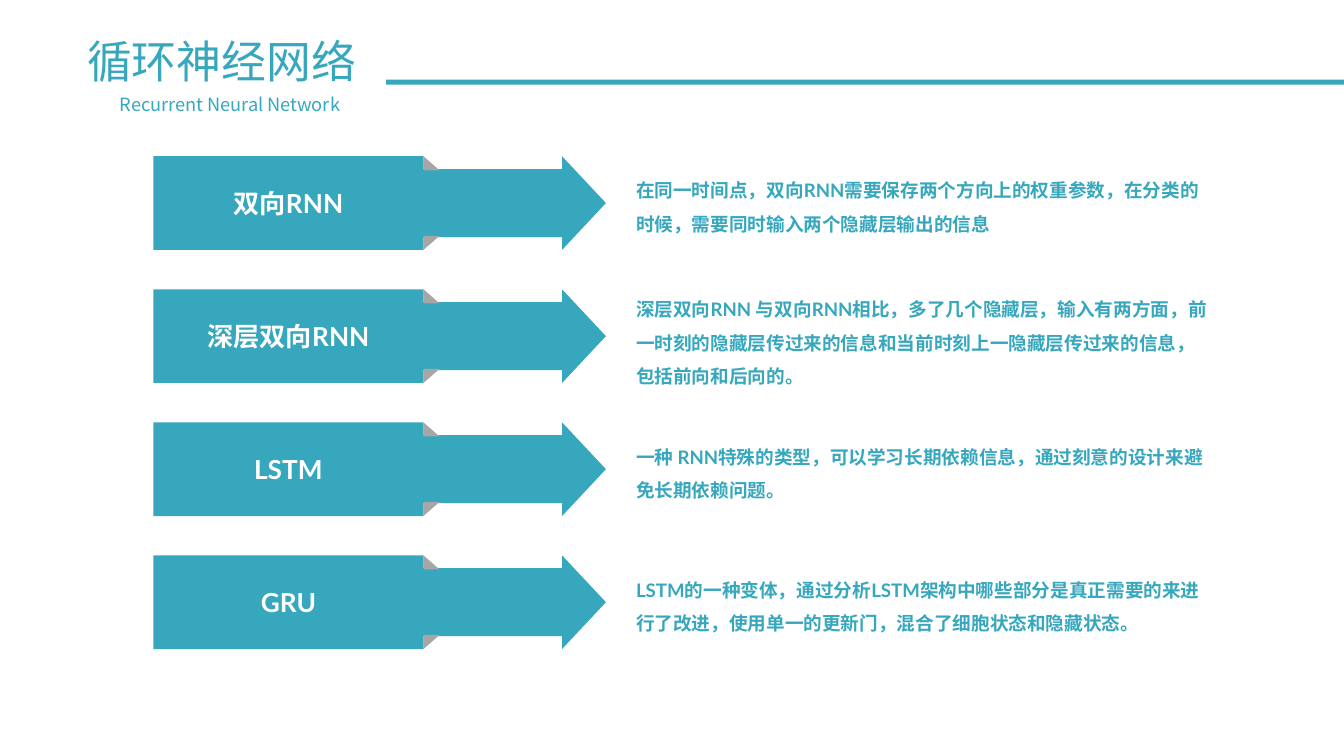
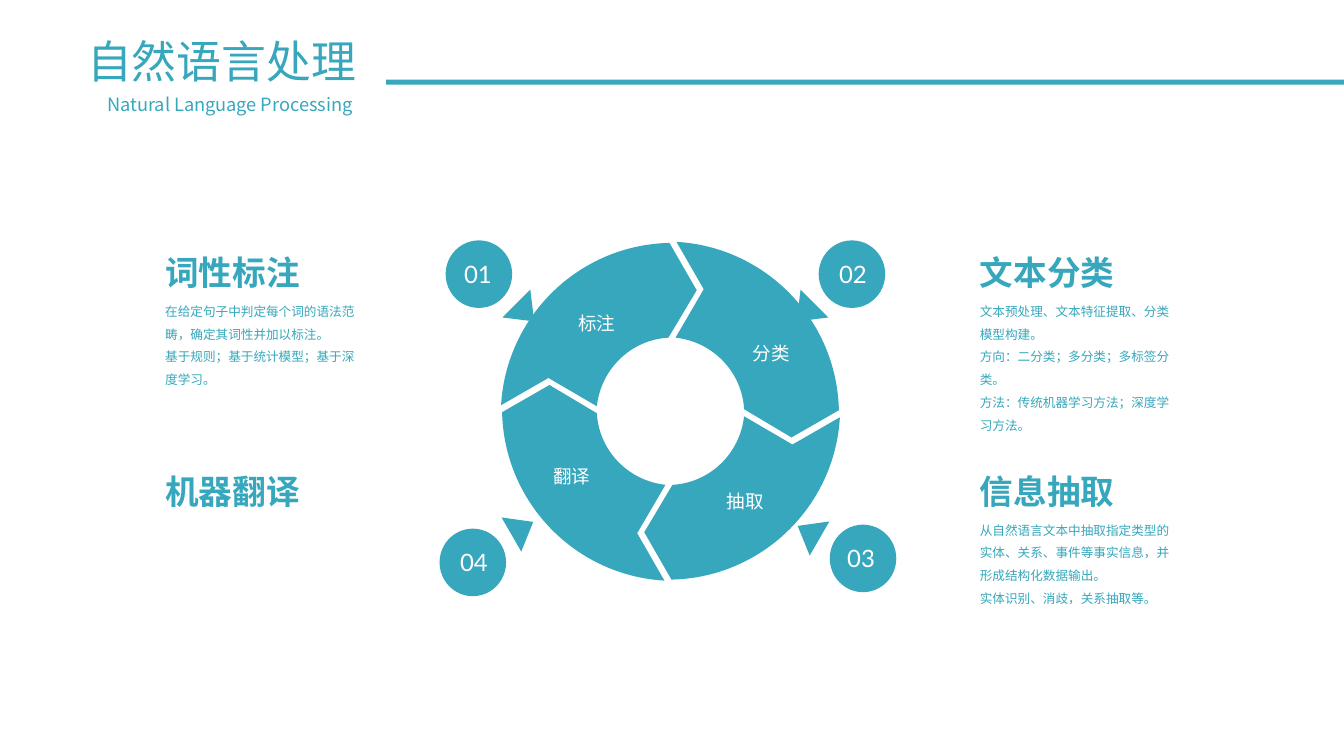
from dataclasses import dataclass

from lxml import etree
from pptx import Presentation
from pptx.dml.color import RGBColor
from pptx.enum.shapes import MSO_SHAPE
from pptx.enum.text import MSO_ANCHOR, PP_ALIGN
from pptx.oxml.ns import qn
from pptx.util import Inches, Pt

RECTANGLE = MSO_SHAPE.RECTANGLE
RIGHT_ARROW = MSO_SHAPE.RIGHT_ARROW
FOLD = MSO_SHAPE.RIGHT_TRIANGLE
POINTER = MSO_SHAPE.ISOSCELES_TRIANGLE
OVAL = MSO_SHAPE.OVAL
TOP, MIDDLE = MSO_ANCHOR.TOP, MSO_ANCHOR.MIDDLE
LEFT, CENTER = PP_ALIGN.LEFT, PP_ALIGN.CENTER


@dataclass(frozen=True)
class Theme:
    """Colours, fonts and type sizes shared by the slides."""
    teal: RGBColor = RGBColor(0x36, 0xA7, 0xBC)
    grey: RGBColor = RGBColor(0xA6, 0xA6, 0xA6)
    white: RGBColor = RGBColor(0xFF, 0xFF, 0xFF)
    latin: str = "Lato"
    asian: str = "Noto Sans CJK SC"
    title: float = 32
    subtitle: float = 13
    heading: float = 24
    banner: float = 18.7
    number: float = 17.1
    description: float = 13.3
    segment: float = 13.2
    detail: float = 9


@dataclass(frozen=True)
class Box:
    """A rectangle in inches."""
    left: float
    top: float
    width: float
    height: float

    def inside(self, left, top, width, height):
        """Return a box offset from this one's corner."""
        return Box(self.left + left, self.top + top, width, height)

    def around(self, offset, width, height):
        """Return a box centred at an offset from this one's middle."""
        return self.inside(self.width / 2 + offset[0] - width / 2,
                           self.height / 2 + offset[1] - height / 2, width, height)

    def lengths(self):
        """Return the four values as lengths."""
        return [Inches(v) for v in (self.left, self.top, self.width, self.height)]


THEME = Theme()
HEADER = Box(0.32, 0.33, 13.01, 0.82)
ROWS = Box(1.52, 1.55, 10.62, 0.93)
ROW_PITCH = 1.32
CYCLE = Box(4.97, 2.4, 3.36, 3.36)

NETWORKS = [
    ("双向RNN", "在同一时间点，双向RNN需要保存两个方向上的权重参数，在分类的时候，需要同时输入两个隐藏层输出的信息", 2),
    ("深层双向RNN", "深层双向RNN 与双向RNN相比，多了几个隐藏层，输入有两方面，前一时刻的隐藏层传过来的信息和当前时刻上一隐藏层传过来的信息，包括前向和后向的。", 3),
    ("LSTM", "一种 RNN特殊的类型，可以学习长期依赖信息，通过刻意的设计来避免长期依赖问题。", 2),
    ("GRU", "LSTM的一种变体，通过分析LSTM架构中哪些部分是真正需要的来进行了改进，使用单一的更新门，混合了细胞状态和隐藏状态。", 2),
]
DESCRIPTION_BOX = {2: (0.07, 0.73), 3: (-0.07, 1.07)}

SEGMENT_CORNERS = [(0.26, -1.2), (-0.01, -1.67), (-1.68, -0.06),
                   (-1.21, -0.33), (-0.73, -0.05), (-0.02, -0.73)]
OUTER_HANDLES = [(-0.91, -1.65), (-1.63, -0.94)]
INNER_HANDLES = [(-0.69, -0.42), (-0.39, -0.71)]
SEGMENTS = [
    ("标注", (-0.73, -0.87)),
    ("分类", (1, -0.58)),
    ("抽取", (0.74, 0.89)),
    ("翻译", (-0.98, 0.64)),
]
BADGES = [
    ("01", (-1.9, -1.36), (-1.91, -1.36), (-1.44, -0.98), 135),
    ("02", (1.8, -1.36), (1.81, -1.36), (1.34, -0.98), 225),
    ("03", (1.91, 1.46), (1.89, 1.46), (1.37, 1.2), 300),
    ("04", (-1.96, 1.5), (-1.95, 1.5), (-1.47, 1.16), 60),
]
TASKS = [
    (Box(1.54, 2.45, 2.11, 1.43), "词性标注",
     "在给定句子中判定每个词的语法范畴，确定其词性并加以标注。\n基于规则；基于统计模型；基于深度学习。"),
    (Box(1.54, 4.62, 2.11, 1.43), "机器翻译", ""),
    (Box(9.62, 2.45, 2.11, 1.88), "文本分类",
     "文本预处理、文本特征提取、分类模型构建。\n方向：二分类；多分类；多标签分类。\n方法：传统机器学习方法；深度学习方法。"),
    (Box(9.62, 4.62, 2.11, 1.43), "信息抽取",
     "从自然语言文本中抽取指定类型的实体、关系、事件等事实信息，并形成结构化数据输出。\n实体识别、消歧，关系抽取等。"),
]


def write(shape, text, size, color=THEME.teal, bold=False, align=LEFT, anchor=TOP,
          spacing=None, font=THEME.latin, margins=None, wrap=True):
    """Put formatted text into a shape."""
    frame = shape.text_frame
    frame.text = text
    frame.word_wrap = wrap
    frame.vertical_anchor = anchor
    if margins is not None:
        frame.margin_left = frame.margin_right = Inches(margins)
        frame.margin_top = frame.margin_bottom = Inches(margins)
    for para in frame.paragraphs:
        para.alignment = align
        if spacing:
            para.line_spacing = spacing
        for span in para.runs:
            span.font.size = Pt(size)
            span.font.bold = bold
            span.font.color.rgb = color
            span.font.name = font
            asian = etree.SubElement(span._r.get_or_add_rPr(), qn("a:ea"))
            asian.set("typeface", THEME.asian)


def add_text(page, box, text, size, **style):
    """Add a text box."""
    write(page.shapes.add_textbox(*box.lengths()), text, size, **style)


def add_label(page, box, text, size, **style):
    """Add a centred text box without margins."""
    add_text(page, box, text, size, align=CENTER, anchor=MIDDLE, margins=0, **style)


def paint(shape, color=THEME.teal):
    """Give a shape a flat fill without line or shadow."""
    shape.shadow.inherit = False
    shape.fill.solid()
    shape.fill.fore_color.rgb = color
    shape.line.fill.background()


def add_solid(page, kind, box, color=THEME.teal, rotation=0):
    """Add a flat preset shape."""
    shape = page.shapes.add_shape(kind, *box.lengths())
    paint(shape, color)
    shape.rotation = rotation
    return shape


def add_header(page, box, title, subtitle):
    """Draw the title, subtitle and rule."""
    add_solid(page, RECTANGLE, box.inside(3.51, 0.46, 9.5, 0.05))
    add_label(page, box.inside(0, 0, 3.76, 0.54), title, THEME.title)
    add_label(page, box.inside(0.18, 0.59, 3.56, 0.22), subtitle, THEME.subtitle,
              font=THEME.asian)


def add_network_row(page, box, label, description, lines):
    """Draw a folded banner arrow with its description."""
    arrow = add_solid(page, RIGHT_ARROW, box.inside(1.49, 0, 3, box.height))
    arrow.adjustments[0] = 0.726
    arrow.adjustments[1] = 0.468
    lower = add_solid(page, FOLD, box.inside(2.68, 0.79, 0.16, 0.14), THEME.grey)
    lower._element.spPr.find(qn("a:xfrm")).set("flipV", "1")
    add_solid(page, FOLD, box.inside(2.68, 0, 0.16, 0.14), THEME.grey)
    banner = add_solid(page, RECTANGLE, box.inside(0, 0, 2.68, box.height))
    write(banner, label, THEME.banner, THEME.white, bold=True, align=CENTER, anchor=MIDDLE)
    top, height = DESCRIPTION_BOX[lines]
    add_text(page, box.inside(4.69, top, 5.92, height), description,
             THEME.description, bold=True, spacing=1.5)


def bend(shape, line, handles):
    """Turn a straight side of an outline into a curve."""
    line.tag = qn("a:cubicBezTo")
    for index, (x, y) in enumerate(handles):
        handle = etree.Element(qn("a:pt"), x=str(x - shape.left), y=str(y - shape.top))
        line.insert(index, handle)


def add_segment(page, box, turns):
    """Draw one chevron of the ring, turned by quarter circles."""
    def place(points):
        """Turn points about the middle of the box."""
        for _ in range(turns):
            points = [(-y, x) for x, y in points]
        return [(Inches(box.left + box.width / 2 + x), Inches(box.top + box.height / 2 + y))
                for x, y in points]

    corners = place(SEGMENT_CORNERS)
    outline = page.shapes.build_freeform(*corners[0])
    outline.add_line_segments(corners[1:], close=True)
    segment = outline.convert_to_shape()
    paint(segment)
    sides = list(segment._element.iter(qn("a:lnTo")))
    bend(segment, sides[1], place(OUTER_HANDLES))
    bend(segment, sides[4], place(INNER_HANDLES))


def add_cycle(page, box):
    """Draw the ring with its numbered badges and pointers."""
    for number, badge_at, number_at, pointer_at, rotation in BADGES:
        add_solid(page, OVAL, box.around(badge_at, 0.66, 0.67))
        add_solid(page, POINTER, box.around(pointer_at, 0.39, 0.25), rotation=rotation)
        add_label(page, box.around(number_at, 0.65, 0.5), number, THEME.number,
                  color=THEME.white)
    for turns, (label, label_at) in enumerate(SEGMENTS):
        add_segment(page, box, turns)
    for label, label_at in SEGMENTS:
        add_label(page, box.around(label_at, 0.53, 0.7), label, THEME.segment,
                  color=THEME.white)


def add_task(page, box, heading, detail):
    """Write a task heading and its detail."""
    add_text(page, box.inside(0, 0, 1.55, 0.5), heading, THEME.heading, bold=True, wrap=False)
    if detail:
        add_text(page, box.inside(0, 0.44, box.width, box.height - 0.44), detail,
                 THEME.detail, spacing=1.5, font=THEME.asian)


def add_page(deck, title, subtitle):
    """Add a blank slide with the shared header."""
    page = deck.slides.add_slide(deck.slide_layouts[6])
    add_header(page, HEADER, title, subtitle)
    return page


def build_networks(deck):
    """Build the slide on recurrent networks."""
    page = add_page(deck, "循环神经网络", "Recurrent Neural Network")
    for index, network in enumerate(NETWORKS):
        box = ROWS.inside(0, index * ROW_PITCH, ROWS.width, ROWS.height)
        add_network_row(page, box, *network)


def build_language(deck):
    """Build the slide on language processing."""
    page = add_page(deck, "自然语言处理", "Natural Language Processing")
    add_cycle(page, CYCLE)
    for task in TASKS:
        add_task(page, *task)


def main():
    """Build and save the deck."""
    deck = Presentation()
    deck.slide_width, deck.slide_height = Inches(13.33), Inches(7.5)
    build_networks(deck)
    build_language(deck)
    deck.save("out.pptx")


if __name__ == "__main__":
    main()
